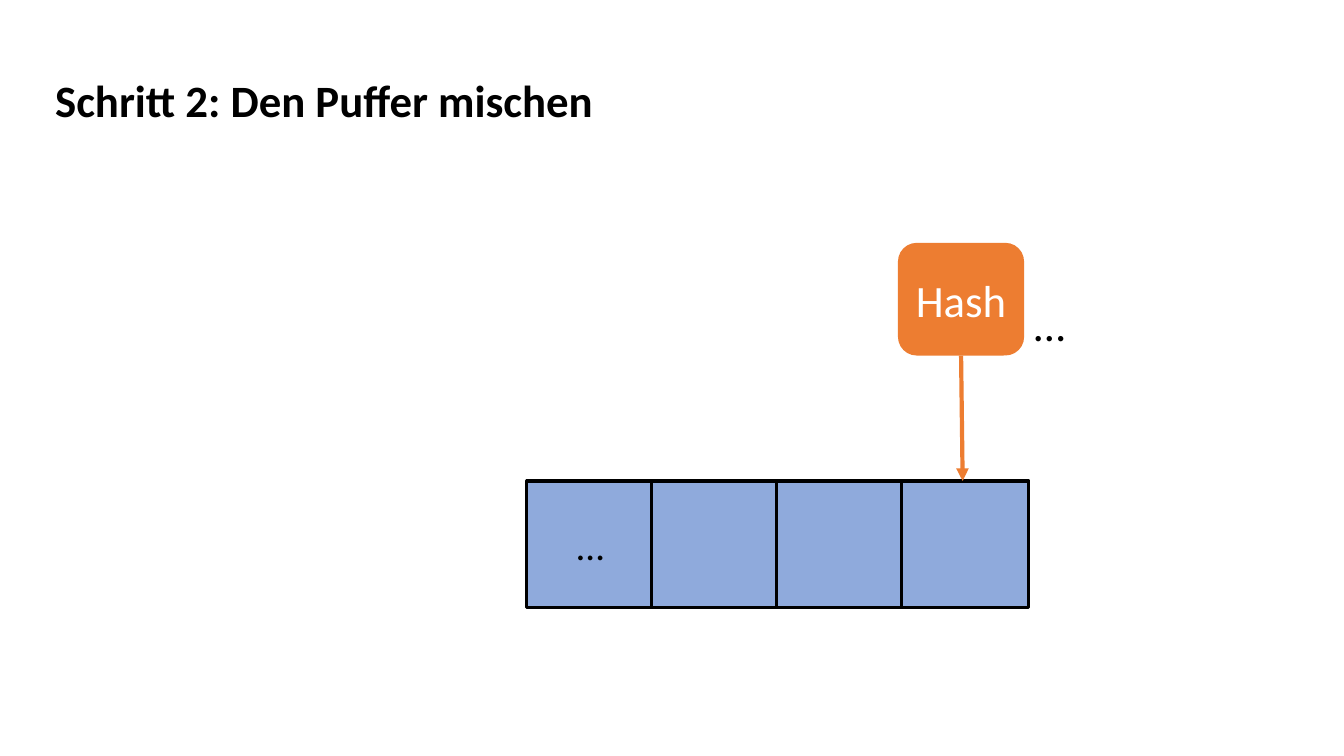
from lxml.etree import SubElement
from pptx import Presentation
from pptx.dml.color import RGBColor
from pptx.enum.shapes import MSO_CONNECTOR, MSO_SHAPE
from pptx.enum.text import MSO_ANCHOR, PP_ALIGN
from pptx.oxml.ns import qn
from pptx.util import Cm, Pt

ORANGE, BLUE, BLACK, WHITE = "ED7D31", "8FAADC", "000000", "FFFFFF"


def rgb(value):
    return RGBColor.from_string(value)


def write(sp, text, size, color, bold=False, align=PP_ALIGN.LEFT, anchor=MSO_ANCHOR.TOP):
    tf = sp.text_frame
    tf.word_wrap = True
    tf.vertical_anchor = anchor
    tf.text = text
    p = tf.paragraphs[0]
    p.alignment = align
    font = p.runs[0].font
    font.name, font.size, font.bold = "Calibri", Pt(size), bold
    font.color.rgb = rgb(color)


prs = Presentation()
prs.slide_width, prs.slide_height = Cm(33.87), Cm(19.05)
s = prs.slides.add_slide(prs.slide_layouts[6])

# Hash box
hash_box = s.shapes.add_shape(MSO_SHAPE.ROUNDED_RECTANGLE, Cm(22.63), Cm(6.12), Cm(3.18), Cm(2.84))
hash_box.shadow.inherit = False
hash_box.fill.solid()
hash_box.fill.fore_color.rgb = rgb(ORANGE)
hash_box.line.fill.background()
write(hash_box, "Hash", 32, WHITE, align=PP_ALIGN.CENTER, anchor=MSO_ANCHOR.MIDDLE)

# Buffer cells, the first one labelled
for i, label in enumerate(["…", "", "", ""]):
    cell = s.shapes.add_shape(MSO_SHAPE.RECTANGLE, Cm(13.28 + 3.15 * i), Cm(12.12), Cm(3.2), Cm(3.2))
    cell.shadow.inherit = False
    cell.fill.solid()
    cell.fill.fore_color.rgb = rgb(BLUE)
    cell.line.color.rgb = rgb(BLACK)
    cell.line.width = Pt(2.25)
    if label:
        write(cell, label, 28, BLACK, align=PP_ALIGN.CENTER, anchor=MSO_ANCHOR.MIDDLE)

# Title
title = s.shapes.add_textbox(Cm(1.14), Cm(1.7), Cm(15.85), Cm(1.62))
write(title, "Schritt 2: Den Puffer mischen", 32, BLACK, bold=True)

# Arrow from the hash box to the last cell
arrow = s.shapes.add_connector(MSO_CONNECTOR.STRAIGHT, Cm(24.22), Cm(8.96), Cm(24.26), Cm(12.12))
arrow.begin_connect(hash_box, 2)
arrow.line.color.rgb = rgb(ORANGE)
arrow.line.width = Pt(3)
SubElement(arrow.line._get_or_add_ln(), qn("a:tailEnd"), type="triangle")
SubElement(arrow._element.spPr, qn("a:effectLst"))

# Ellipsis beside the hash box
more = s.shapes.add_textbox(Cm(25.81), Cm(7.34), Cm(1.93), Cm(1.62))
write(more, "…", 32, BLACK)

prs.save("out.pptx")
